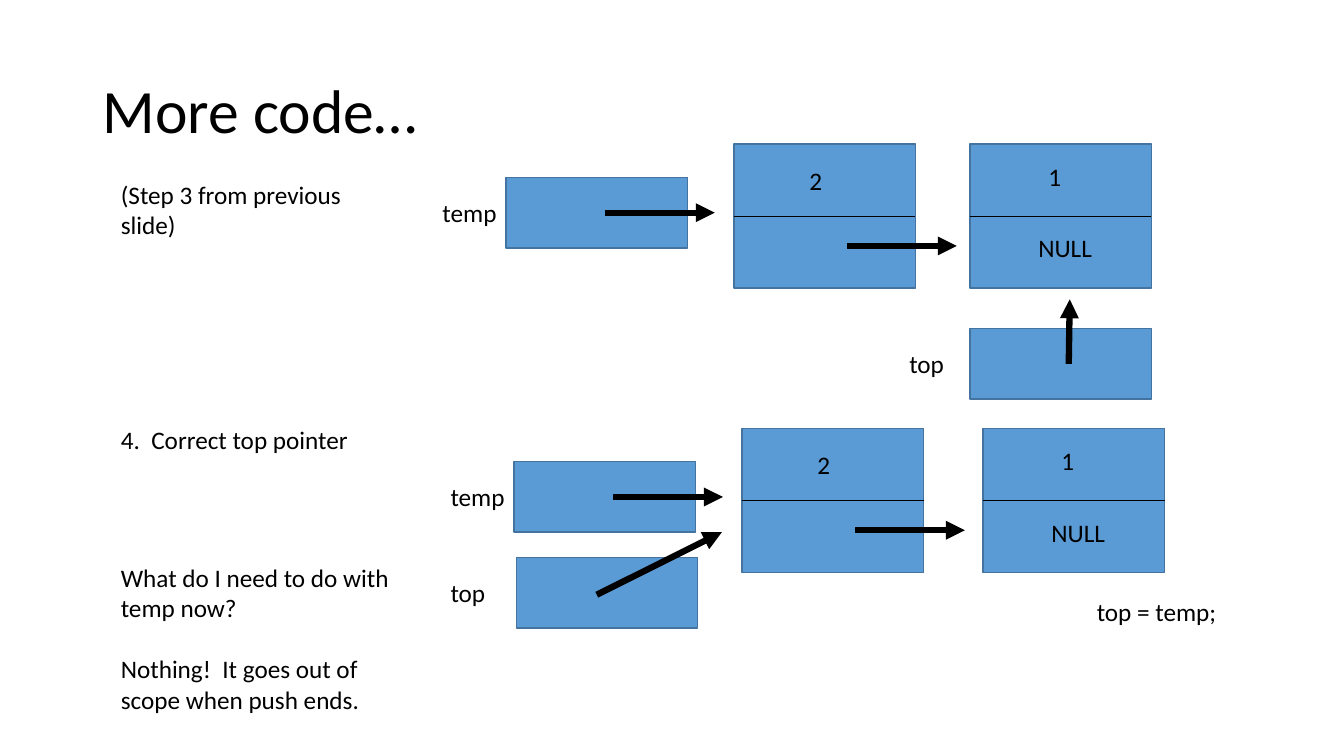
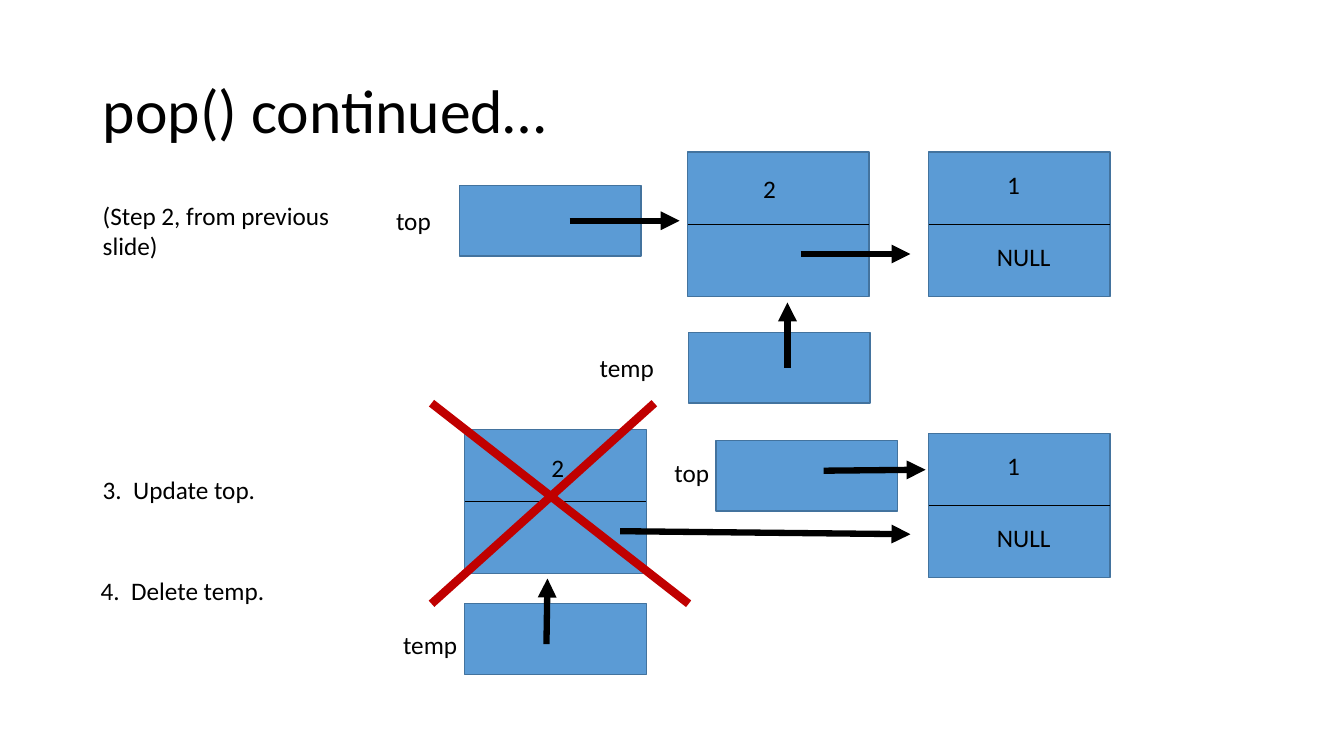
import pptx
import pptx.dml.color
import pptx.enum.shapes
import pptx.enum.text
import pptx.oxml.ns
import pptx.util
from lxml import etree

Inches = pptx.util.Inches
Pt = pptx.util.Pt

FONT = "Calibri"
INK, BOX_FILL, BOX_EDGE, CROSS = "000000", "5B9BD5", "43739E", "C00000"
CELL_W, NODE_H, POINTER_H = 1.8, 1.43, 0.7
LINE_H = 0.4
LABEL_W = {"top": 0.55, "temp": 0.74}
VALUE_AT = {"1": (0.68, 0.12), "2": (0.65, 0.16)}
NOTE_W = 2.92


def paint(color_format, color):
    color_format.rgb = pptx.dml.color.RGBColor.from_string(color)


# Basic parts
def add_title(slide, wording):
    title = slide.shapes.title
    title.left, title.top = Inches(0.92), Inches(0.4)
    title.width, title.height = Inches(11.5), Inches(1.45)
    title.text_frame.text = wording
    title.text_frame.vertical_anchor = pptx.enum.text.MSO_ANCHOR.MIDDLE
    heading = title.text_frame.paragraphs[0]
    heading.alignment = pptx.enum.text.PP_ALIGN.LEFT
    heading.line_spacing = 0.9
    heading.font.name, heading.font.size = FONT, Pt(44)
    paint(heading.font.color, INK)


def add_text(slide, left, top, width, *paragraphs, height=LINE_H, wrap=True):
    box = slide.shapes.add_textbox(
        Inches(left), Inches(top), Inches(width), Inches(height))
    frame = box.text_frame
    frame.word_wrap = wrap
    frame.auto_size = pptx.enum.text.MSO_AUTO_SIZE.SHAPE_TO_FIT_TEXT
    for index, wording in enumerate(paragraphs):
        paragraph = frame.add_paragraph() if index else frame.paragraphs[0]
        paragraph.text = wording
        paragraph.font.name, paragraph.font.size = FONT, Pt(18)
        paint(paragraph.font.color, INK)
        if index:
            paragraph.space_before = Pt(22)


def add_cell(slide, left, top, height):
    cell = slide.shapes.add_shape(
        pptx.enum.shapes.MSO_SHAPE.RECTANGLE,
        Inches(left), Inches(top), Inches(CELL_W), Inches(height))
    cell.shadow.inherit = False
    cell.fill.solid()
    paint(cell.fill.fore_color, BOX_FILL)
    paint(cell.line.color, BOX_EDGE)
    cell.line.width = Pt(1)
    return cell


def add_line(slide, start, end, color=INK, weight=4.5, arrow=False):
    line = slide.shapes.add_connector(
        pptx.enum.shapes.MSO_CONNECTOR.STRAIGHT,
        *(Inches(length) for length in (*start, *end)))
    paint(line.line.color, color)
    line.line.width = Pt(weight)
    properties = line._element.spPr
    if arrow:
        etree.SubElement(properties.find(pptx.oxml.ns.qn("a:ln")),
                         pptx.oxml.ns.qn("a:tailEnd"), type="triangle")
    etree.SubElement(properties, pptx.oxml.ns.qn("a:effectLst"))
    return line


# Linked-list parts; arrow ends are offsets from the part's corner
def add_arrow(slide, left, top, start, end):
    add_line(slide, (left + start[0], top + start[1]),
             (left + end[0], top + end[1]), arrow=True)


def add_node(slide, left, top, value, value_at=None,
             next_arrow=((1.12, 1.01), (2.21, 1.01))):
    cell = add_cell(slide, left, top, NODE_H)
    middle = top + NODE_H / 2
    divider = add_line(slide, (left, middle), (left + CELL_W, middle),
                       weight=0.5)
    divider.begin_connect(cell, 1)
    divider.end_connect(cell, 3)
    dx, dy = value_at or VALUE_AT[value]
    add_text(slide, left + dx, top + dy, 1.27, value)
    if next_arrow:
        add_arrow(slide, left, top, *next_arrow)
    else:
        add_text(slide, left + 0.58, top + 0.83, 0.74, "NULL", wrap=False)


def add_pointer(slide, left, top, name, start, end, label_gap=0.73,
                label_drop=0.15):
    add_cell(slide, left, top, POINTER_H)
    add_text(slide, left - label_gap, top + label_drop, LABEL_W[name], name,
             wrap=False)
    add_arrow(slide, left, top, start, end)


def add_chain(slide, left, top, name, arrow_from=0.98, last_node=4.65):
    """Pointer to node 2, which leads to node 1."""
    add_node(slide, left + last_node, top, "1", next_arrow=None)
    add_node(slide, left + 2.26, top, "2")
    add_pointer(slide, left, top + 0.33, name,
                (arrow_from, 0.35), (arrow_from + 1.09, 0.35))


def add_crossed_node(slide, left, top):
    """Node 2 with the temp pointer below it and a cross over both."""
    add_node(slide, left, top, "2", value_at=(0.76, 0.18),
             next_arrow=((1.54, 1.01), (4.42, 1.04)))
    add_pointer(slide, left, top + 1.73, "temp", (0.81, 0.4), (0.82, -0.25),
                label_gap=0.71, label_drop=0.2)
    cross_left, cross_top, cross_bottom = left - 0.33, top - 0.26, top + 1.73
    add_line(slide, (cross_left, cross_top), (left + 2.22, cross_bottom),
             CROSS, 6)
    add_line(slide, (cross_left, cross_bottom), (left + 1.88, cross_top),
             CROSS, 6)


# Slides
def build_push(slide):
    add_title(slide, "More code…")

    # Step 3
    add_text(slide, 1.1, 1.73, NOTE_W, "(Step 3 from previous slide)",
             height=0.71)
    add_chain(slide, 5.02, 1.43, "temp", last_node=4.6)
    add_pointer(slide, 9.62, 3.26, "top", (0.98, 0.35), (0.99, -0.29),
                label_gap=0.7)

    # Step 4
    add_text(slide, 1.1, 4.16, NOTE_W, "4.  Correct top pointer")
    add_chain(slide, 5.1, 4.25, "temp")
    add_pointer(slide, 5.12, 5.53, "top", (0.8, 0.37), (2.04, -0.25),
                label_gap=0.75)
    add_text(slide, 10.78, 5.87, 1.4, "top = temp;", wrap=False)

    # Closing question
    add_text(slide, 1.1, 5.53, NOTE_W, "What do I need to do with temp now?",
             "Nothing!  It goes out of scope when push ends.", height=1.62)


def build_pop(slide):
    add_title(slide, "pop() continued…")

    # Step 2
    add_text(slide, 0.92, 1.94, NOTE_W, "(Step 2, from previous slide)",
             height=0.71)
    add_chain(slide, 4.56, 1.51, "top", arrow_from=1.09)
    add_pointer(slide, 6.83, 3.3, "temp", (0.98, 0.35), (0.98, -0.3),
                label_gap=0.98)

    # Steps 3 and 4
    add_text(slide, 0.92, 4.66, NOTE_W, "3.  Update top.")
    add_text(slide, 0.9, 5.66, NOTE_W, "4.  Delete temp.")
    add_node(slide, 9.21, 4.3, "1", next_arrow=None)
    add_pointer(slide, 7.1, 4.37, "top", (1.07, 0.3), (2.08, 0.29),
                label_gap=0.51, label_drop=0.12)
    add_crossed_node(slide, 4.61, 4.26)


def main():
    deck = pptx.Presentation()
    deck.slide_width, deck.slide_height = Inches(13.33), Inches(7.5)
    title_only = deck.slide_layouts[5]
    for build in (build_push, build_pop):
        build(deck.slides.add_slide(title_only))
    deck.save("out.pptx")


if __name__ == "__main__":
    main()
